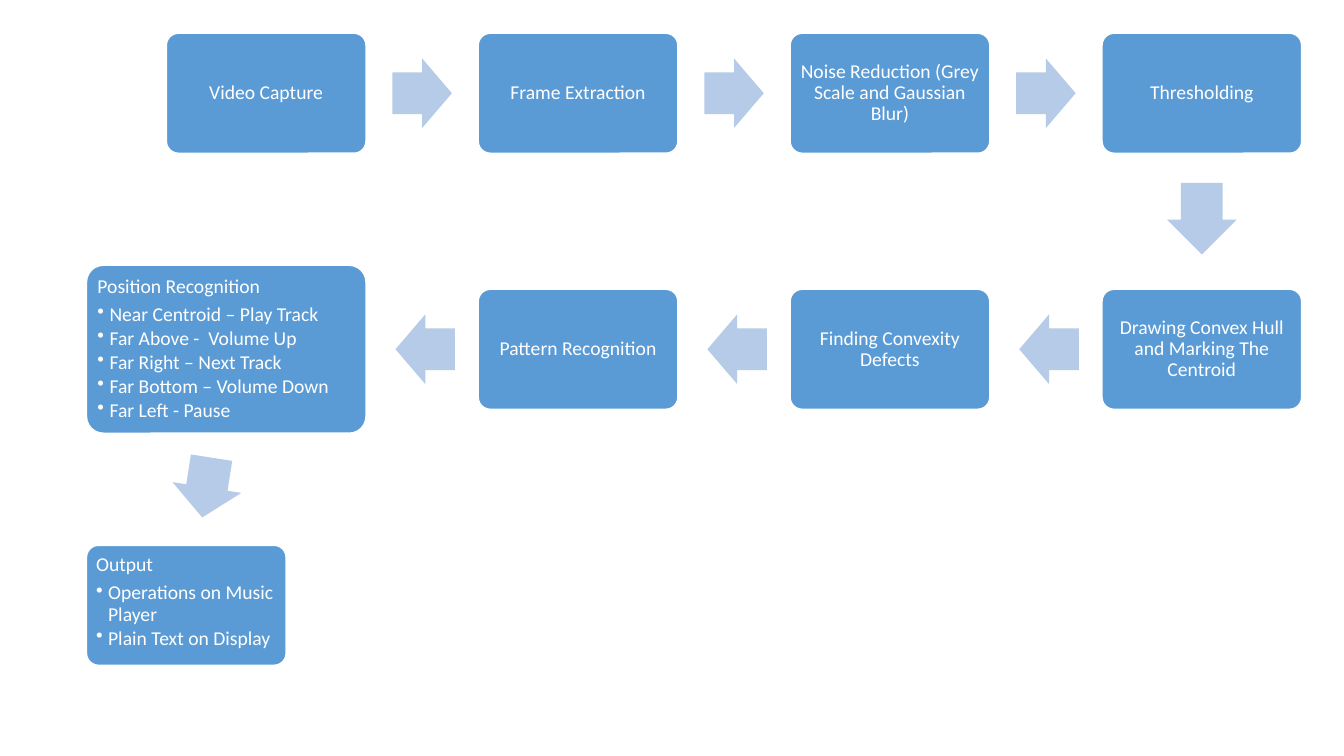
import dataclasses
import lxml.etree
import pptx
import pptx.dml.color
import pptx.enum.shapes
import pptx.enum.text
import pptx.oxml.ns
import pptx.util

HUES = {"box": "5B9BD5", "arrow": "B5CBE7", "white": "FFFFFF"}
SHAPE = pptx.enum.shapes.MSO_SHAPE
ALIGN = pptx.enum.text.PP_ALIGN
ANCHOR = pptx.enum.text.MSO_ANCHOR
Pt = pptx.util.Pt
Inches = pptx.util.Inches

LEFT, TOP = 1.65, 0.33
WIDE, TALL = 1.98, 1.19
COL, ROW = (10.93 - LEFT) / 3, 2.54
INSET = Inches(0.06)
HANG = Inches(0.12)

FRAME = {"word_wrap": True, "margin_left": INSET, "margin_right": INSET,
         "margin_top": INSET, "margin_bottom": INSET}
TITLE = {"line_spacing": 0.9, "space_after": Pt(5)}
POINT = {"line_spacing": 0.9, "space_after": Pt(2), "level": 1,
         "alignment": ALIGN.LEFT}
FONT = {"name": "Calibri", "size": Pt(14)}


@dataclasses.dataclass
class Step:
    col: int
    row: int
    title: str
    points: tuple[str, ...] = ()
    scale: float = 1
    shift: float = 0


@dataclasses.dataclass
class Arrow:
    col: float
    row: float
    turn: float = 0
    length: float = 0.59


STEPS = [
    Step(0, 0, "Video Capture"),
    Step(1, 0, "Frame Extraction"),
    Step(2, 0, "Noise Reduction (Grey Scale and Gaussian Blur)"),
    Step(3, 0, "Thresholding"),
    Step(3, 1, "Drawing Convex Hull and Marking The Centroid"),
    Step(2, 1, "Finding Convexity Defects"),
    Step(1, 1, "Pattern Recognition"),
    Step(0, 1, "Position Recognition", (
        "Near Centroid – Play Track",
        "Far Above -  Volume Up",
        "Far Right – Next Track",
        "Far Bottom – Volume Down",
        "Far Left - Pause"), scale=1.4, shift=-0.4),
    Step(0, 2, "Output", (
        "Operations on Music Player",
        "Plain Text on Display"), shift=-0.4),
]
ARROWS = [
    *(Arrow(col + 0.5, 0) for col in range(3)),
    Arrow(3, 0.49, 90, 0.71),
    *(Arrow(col + 0.51, 1, 180) for col in (2, 1, 0)),
    Arrow(-0.19, 1.54, 98.9, 0.6),
]


def apply(thing, values: dict) -> None:
    for name, value in values.items():
        setattr(thing, name, value)


def tint(fill, hue: str) -> None:
    fill.solid()
    fill.fore_color.rgb = pptx.dml.color.RGBColor.from_string(HUES[hue])


def place(slide, kind, hue: str, left: float, top: float, wide: float, tall: float):
    shape = slide.shapes.add_shape(kind, *map(Inches, (left, top, wide, tall)))
    shape.shadow.inherit = False
    tint(shape.fill, hue)
    return shape


def write(para, text: str, values: dict) -> None:
    apply(para, values)
    run = para.add_run()
    run.text = text
    apply(run.font, FONT)
    tint(run.font.fill, "white")


def dot(para) -> None:
    props = para._p.get_or_add_pPr()
    props.set("marL", str(HANG))
    props.set("indent", str(-HANG))
    mark = lxml.etree.SubElement(props, pptx.oxml.ns.qn("a:buChar"))
    mark.set("char", "•")


def draw_step(slide, step: Step) -> None:
    wide, tall = WIDE * step.scale, TALL * step.scale
    left = LEFT + step.col * COL + step.shift * WIDE
    top = TOP + step.row * ROW + (TALL - tall) / 2
    box = place(slide, SHAPE.ROUNDED_RECTANGLE, "box", left, top, wide, tall)
    box.adjustments[0] = 0.1
    tint(box.line.fill, "white")
    box.line.width = Pt(1)
    frame = box.text_frame
    apply(frame, FRAME)
    frame.vertical_anchor = ANCHOR.TOP if step.points else ANCHOR.MIDDLE
    side = ALIGN.LEFT if step.points else ALIGN.CENTER
    write(frame.paragraphs[0], step.title, TITLE | {"alignment": side})
    for point in step.points:
        para = frame.add_paragraph()
        write(para, point, POINT)
        dot(para)


def draw_arrow(slide, arrow: Arrow) -> None:
    tall = 0.69
    left = LEFT + WIDE / 2 + arrow.col * COL - arrow.length / 2
    top = TOP + TALL / 2 + arrow.row * ROW - tall / 2
    shape = place(slide, SHAPE.RIGHT_ARROW, "arrow", left, top, arrow.length, tall)
    shape.adjustments[0] = 0.6
    shape.adjustments[1] = 0.5
    shape.rotation = arrow.turn
    shape.line.fill.background()


deck = pptx.Presentation()
apply(deck, {"slide_width": Inches(13.33), "slide_height": Inches(7.5)})
slide = deck.slides.add_slide(deck.slide_layouts[6])
for step in STEPS:
    draw_step(slide, step)
for arrow in ARROWS:
    draw_arrow(slide, arrow)
deck.save("out.pptx")
